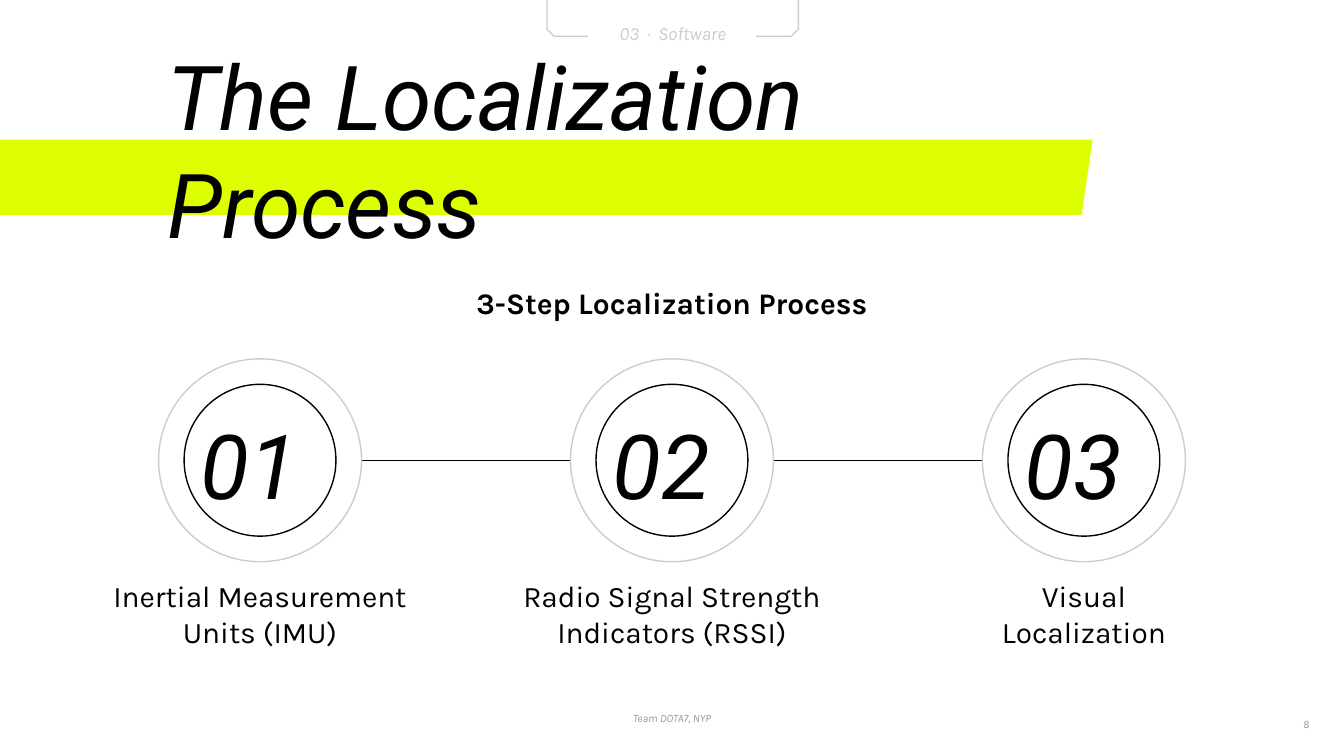
from dataclasses import dataclass

from lxml import etree
from pptx import Presentation
from pptx.dml.color import RGBColor
from pptx.enum.shapes import MSO_CONNECTOR as Connector, MSO_SHAPE as Shape
from pptx.enum.text import MSO_ANCHOR as Anchor, MSO_AUTO_SIZE as AutoSize, PP_ALIGN as Align
from pptx.oxml.ns import qn
from pptx.util import Inches, Pt


@dataclass(frozen=True)
class Theme:
    ink: str = "000000"
    pale: str = "CCCCCC"
    muted: str = "999999"
    paper: str = "FFFFFF"
    accent: str = "DDFF00"
    display_font: str = "Roboto"
    body_font: str = "Karla"
    display: int = 48
    body: int = 16
    label: int = 10
    footer: int = 6
    stroke: float = 0.75


THEME = Theme()


def add_text(page, box, text, size, color=THEME.ink, font=THEME.body_font,
             align=Align.CENTER, anchor=Anchor.TOP, bold=False, italic=False):
    frame = page.shapes.add_textbox(*map(Inches, box)).text_frame
    frame.word_wrap = True
    frame.vertical_anchor = anchor
    # Top-anchored boxes grow with their text
    frame.auto_size = (AutoSize.SHAPE_TO_FIT_TEXT if anchor == Anchor.TOP
                       else AutoSize.NONE)
    frame.margin_left = frame.margin_right = Inches(0.1)
    frame.margin_top = frame.margin_bottom = Inches(0.1)
    frame.text = text
    para = frame.paragraphs[0]
    para.alignment = align
    for span in para.runs:
        span.font.name = font
        span.font.size = Pt(size)
        span.font.bold = bold
        span.font.italic = italic
        span.font.color.rgb = RGBColor.from_string(color)


def add_figure(page, kind, box, fill=None, line=None):
    shape = page.shapes.add_shape(kind, *map(Inches, box))
    shape.shadow.inherit = False
    if fill:
        shape.fill.solid()
        shape.fill.fore_color.rgb = RGBColor.from_string(fill)
    else:
        shape.fill.background()
    if line:
        shape.line.color.rgb = RGBColor.from_string(line)
        shape.line.width = Pt(THEME.stroke)
    else:
        shape.line.fill.background()
    return shape


def add_link(page, start, end, y):
    link = page.shapes.add_connector(
        Connector.STRAIGHT, Inches(start), Inches(y), Inches(end), Inches(y))
    link.line.color.rgb = RGBColor.from_string(THEME.ink)
    link.line.width = Pt(THEME.stroke)
    etree.SubElement(link._element.spPr, qn("a:effectLst"))


def add_title(page, box):
    left, top, width, height = box
    # Accent band runs in from beyond the left edge
    band = add_figure(page, Shape.PARALLELOGRAM,
                      (left - 1.82, top + 0.54, 8.8, 0.56), fill=THEME.accent)
    band.adjustments[0] = 0.144
    add_text(page, box, "The Localization Process", THEME.display,
             font=THEME.display_font, align=Align.LEFT,
             anchor=Anchor.MIDDLE, italic=True)


def add_section_tab(page, box):
    left, top, width, height = box
    tab = add_figure(page, Shape.SNIP_2_SAME_RECTANGLE, box, line=THEME.pale)
    tab.rotation = 180
    tab.adjustments[0] = 0.167
    tab.adjustments[1] = 0
    # Gap in the outline behind the section name
    center = left + width / 2
    add_figure(page, Shape.RECTANGLE, (center - 0.63, top + 0.18, 1.25, 0.3),
               fill=THEME.paper)
    add_text(page, (center - 1.97, top + 0.13, 3.94, 0.37),
             "03  ·  Software", THEME.label, THEME.pale, italic=True)


def add_steps(page, box, steps):
    left, top, width, height = box
    outer, inner = 1.51, 1.13
    pitch = (width - outer) / (len(steps) - 1)
    middle = top + outer / 2
    for index, (caption, caption_width) in enumerate(steps):
        center = left + outer / 2 + index * pitch
        # Link to the next step
        if index < len(steps) - 1:
            add_link(page, center + outer / 2, center + pitch - outer / 2, middle)
        # Double ring
        for size, color in ((outer, THEME.pale), (inner, THEME.ink)):
            ring = (center - size / 2, middle - size / 2, size, size)
            add_figure(page, Shape.OVAL, ring, line=color)
        # Number and caption
        add_text(page, (center - 0.88, top - 0.04, 1.6, 1.64), f"{index + 1:02}",
                 THEME.display, font=THEME.display_font,
                 anchor=Anchor.MIDDLE, italic=True)
        add_text(page, (center - caption_width / 2, top + height - 0.74,
                        caption_width, 0.74), caption, THEME.body)


def add_footer(page, box):
    left, top, width, height = box
    add_text(page, (left + width / 2 - 1.97, top, 3.94, height),
             "Team DOTA7, NYP", THEME.footer, THEME.muted, italic=True)
    add_text(page, (left + width - 0.6, top, 0.44, height), "8", THEME.footer,
             THEME.muted, align=Align.RIGHT, anchor=Anchor.MIDDLE, italic=True)


def main():
    deck = Presentation()
    deck.slide_width, deck.slide_height = Inches(10), Inches(10 * 9 / 16)
    page = deck.slides.add_slide(deck.slide_layouts[6])
    add_title(page, (1.15, 0.5, 7.38, 1.21))
    add_footer(page, (0, 5.24, 10, 0.3))
    add_text(page, (3.26, 2.02, 3.48, 0.47), "3-Step Localization Process",
             THEME.body, bold=True)
    add_steps(page, (1.18, 2.67, 7.64, 2.27), [
        ("Inertial Measurement Units (IMU)", 2.48),
        ("Radio Signal Strength Indicators (RSSI)", 2.63),
        ("Visual Localization", 1.94),
    ])
    add_section_tab(page, (4.07, -0.05, 1.87, 0.32))
    deck.save("out.pptx")


if __name__ == "__main__":
    main()
